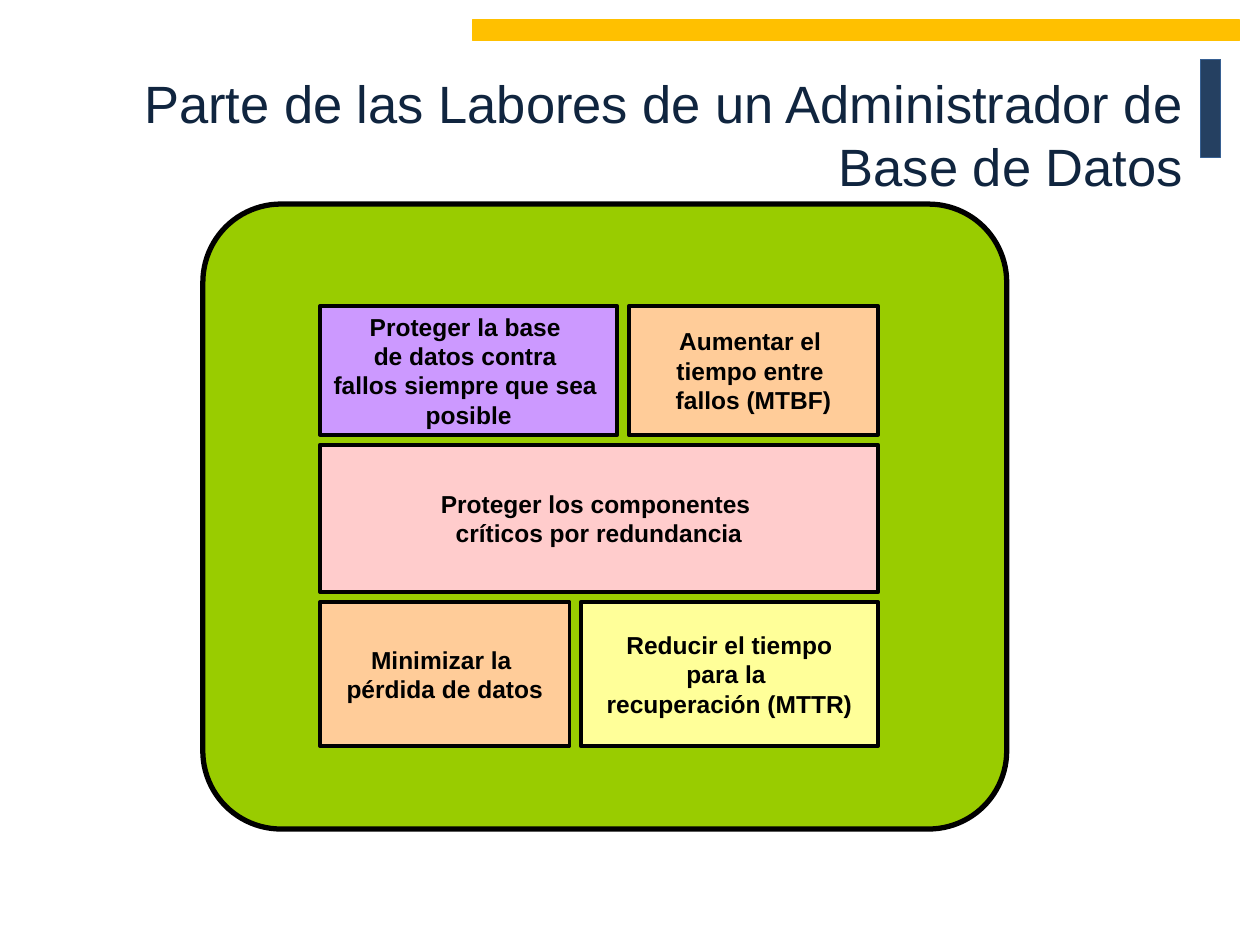
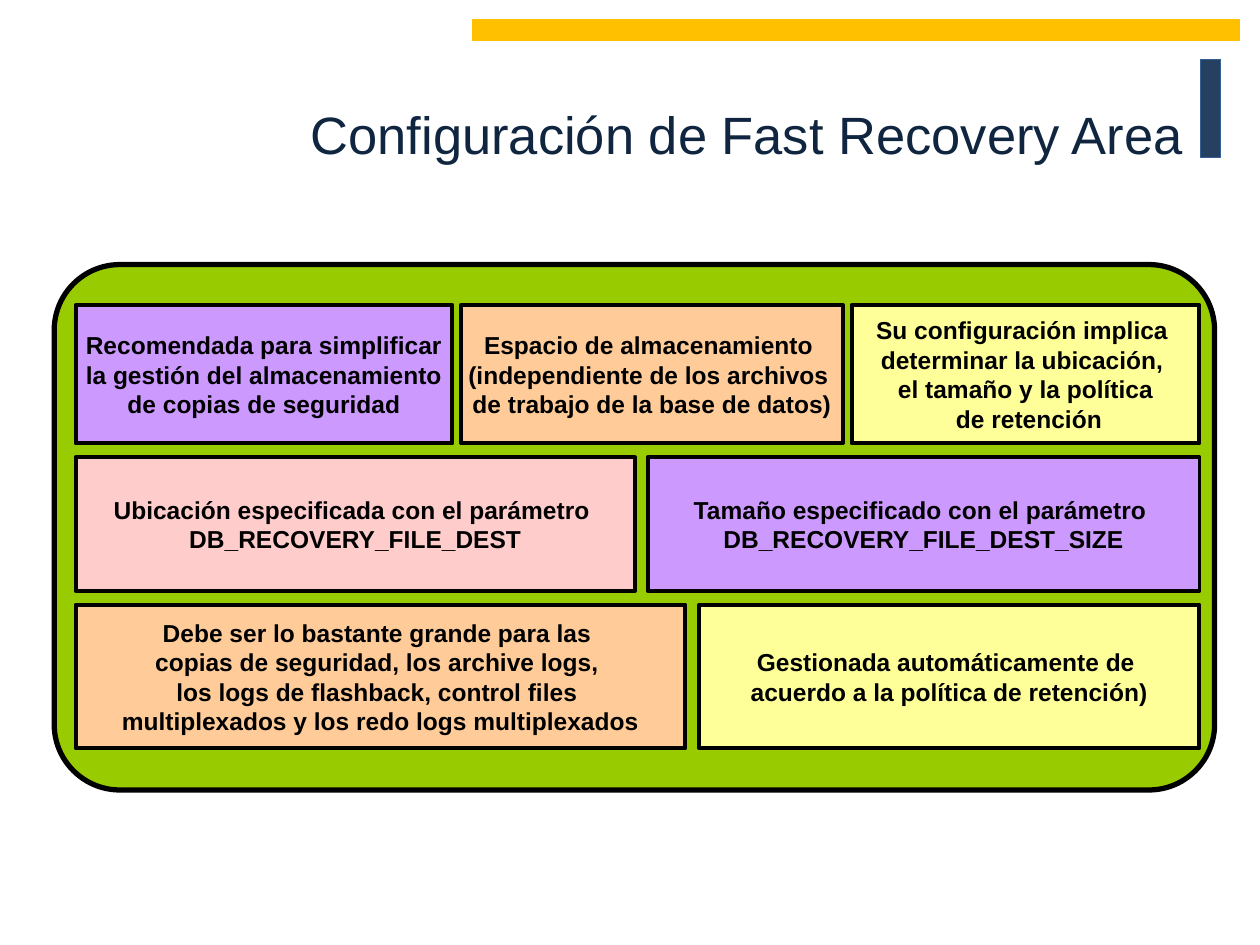
from pptx import Presentation
from pptx.dml.color import RGBColor
from pptx.enum.shapes import MSO_SHAPE
from pptx.enum.text import MSO_ANCHOR, PP_ALIGN
from pptx.util import Inches, Pt

FONT = "Arial"
COLORS = {
    "title": "10253F",
    "navy": "254061",
    "navy_edge": "376092",
    "gold": "FFC000",
    "green": "99CC00",
    "purple": "CC99FF",
    "orange": "FFCC99",
    "pink": "FFCCCC",
    "yellow": "FFFF99",
    "black": "000000",
}

# Boxes are (left, top, width, height) in inches.
TITLE_BOX = (0.97, 0.26, 8.52, 1.6)
BANDS = [
    ((9.53, 0.47, 0.16, 0.78), "navy", "navy_edge"),
    ((3.75, 0.16, 6.09, 0.16), "gold", "gold"),
]

# Each row of bricks is (height, [(width, color, lines), ...]).
DBA_TASKS = [
    (1.02, [
        (2.36, "purple", ["Proteger la base ", "de datos contra ",
                          "fallos siempre que sea ", "posible"]),
        (1.98, "orange", ["Aumentar el ", "tiempo entre ", "fallos (MTBF)"]),
    ]),
    (1.17, [
        (4.43, "pink", ["Proteger los componentes ", "críticos por redundancia"]),
    ]),
    (1.14, [
        (1.98, "orange", ["Minimizar la ", "pérdida de datos"]),
        (2.36, "yellow", ["Reducir el tiempo", "para la ", "recuperación (MTTR)"]),
    ]),
]
RECOVERY_AREA = [
    (1.1, [
        (2.99, "purple", ["Recomendada para simplificar",
                          " la gestión del almacenamiento ",
                          "de copias de seguridad"]),
        (3.03, "orange", ["Espacio de almacenamiento ",
                          "(independiente de los archivos ",
                          "de trabajo de la base de datos)"]),
        (2.76, "yellow", ["Su configuración implica ", "determinar la ubicación, ",
                          "el tamaño y la política", " de retención"]),
    ]),
    (1.06, [
        (4.44, "pink", ["Ubicación especificada con el parámetro ",
                        "DB_RECOVERY_FILE_DEST"]),
        (4.38, "purple", ["Tamaño especificado con el parámetro ",
                          "DB_RECOVERY_FILE_DEST_SIZE"]),
    ]),
    (1.14, [
        (4.84, "orange", ["Debe ser lo bastante grande para las ",
                          "copias de seguridad, los archive logs, ",
                          "los logs de flashback, control files ",
                          "multiplexados y los redo logs multiplexados"]),
        (3.97, "yellow", ["Gestionada automáticamente de ",
                          "acuerdo a la política de retención)"]),
    ]),
]


def color(name):
    return RGBColor.from_string(COLORS[name])


def add_block(page, box, fill, edge, weight, kind=MSO_SHAPE.RECTANGLE):
    block = page.shapes.add_shape(kind, *map(Inches, box))
    block.shadow.inherit = False
    block.fill.solid()
    block.fill.fore_color.rgb = color(fill)
    block.line.color.rgb = color(edge)
    block.line.width = Pt(weight)
    return block


def style_paragraph(para, size, name, align, bold=False):
    para.alignment = align
    para.font.name = FONT
    para.font.size = Pt(size)
    para.font.bold = bold
    para.font.color.rgb = color(name)


def set_up_layout(layout, page):
    """Put the bands and the title box on the layout, drawing bands via a page."""
    title = layout.placeholders[0]
    title.left, title.top, title.width, title.height = map(Inches, TITLE_BOX)
    for box, fill, edge in BANDS:
        band = add_block(page, box, fill, edge, 0.75)
        next_id = max(shape.shape_id for shape in layout.shapes) + 1
        band.element.nvSpPr.cNvPr.set("id", str(next_id))
        layout.shapes.element.append(band.element)


def add_title(page, text):
    frame = page.shapes.title.text_frame
    frame.text = text
    frame.vertical_anchor = MSO_ANCHOR.MIDDLE
    style_paragraph(frame.paragraphs[0], 30, "title", PP_ALIGN.RIGHT)


def add_brick(page, box, fill, lines):
    frame = add_block(page, box, fill, "black", 2.25).text_frame
    frame.word_wrap = False
    frame.vertical_anchor = MSO_ANCHOR.MIDDLE
    frame.text = "\n".join(lines)
    for para in frame.paragraphs:
        style_paragraph(para, 14, "black", PP_ALIGN.CENTER, bold=True)


def add_wall(page, box, rows, top_inset, row_gap):
    """Draw a rounded panel with rows of bricks justified to one centred width."""
    left, top, width, _ = box
    panel = add_block(page, box, "green", "black", 3, MSO_SHAPE.ROUNDED_RECTANGLE)
    panel.adjustments[0] = 0.125

    wall_width = 4.43 if len(rows[1][1]) == 1 else 8.92
    wall_left = left + (0.93 if wall_width < 5 else 0.17)
    y = top + top_inset
    for height, bricks in rows:
        spare = wall_width - sum(brick[0] for brick in bricks)
        gap = spare / max(len(bricks) - 1, 1)
        x = wall_left
        for brick_width, fill, lines in bricks:
            add_brick(page, (x, y, brick_width, height), fill, lines)
            x += brick_width + gap
        y += height + row_gap


def main():
    deck = Presentation()
    deck.slide_width, deck.slide_height = Inches(10), Inches(7.5)
    layout = deck.slide_layouts[5]
    tasks_page = deck.slides.add_slide(layout)
    set_up_layout(layout, tasks_page)
    add_title(tasks_page, "Parte de las Labores de un Administrador de Base de Datos")
    add_wall(tasks_page, (1.61, 1.62, 6.38, 4.96), DBA_TASKS, 0.81, 0.08)

    recovery_page = deck.slides.add_slide(layout)
    add_title(recovery_page, "Configuración de Fast Recovery Area")
    add_wall(recovery_page, (0.43, 2.1, 9.21, 4.17), RECOVERY_AREA, 0.32, 0.11)
    deck.save("out.pptx")


if __name__ == "__main__":
    main()
